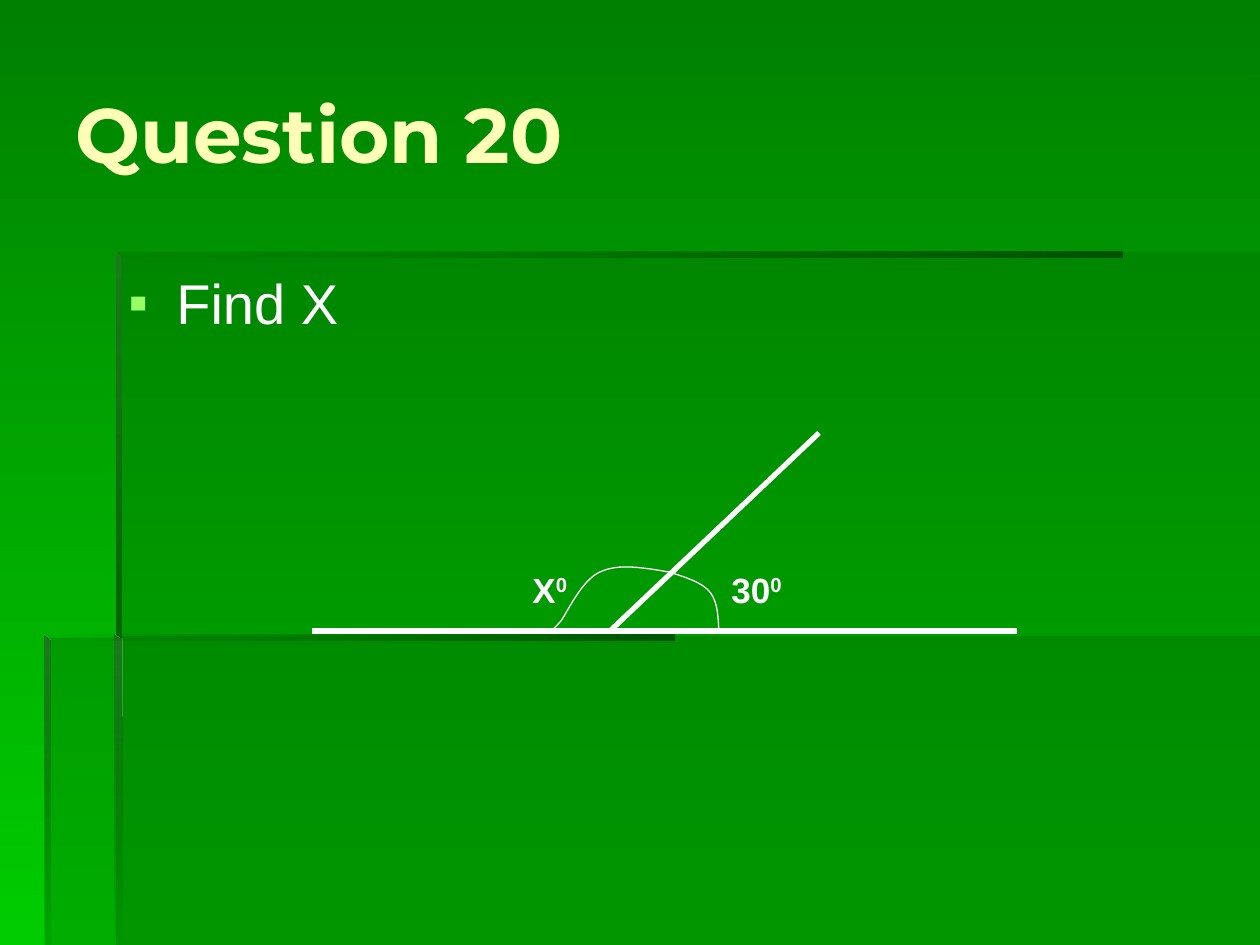
from lxml import etree
from pptx import Presentation
from pptx.dml.color import RGBColor
from pptx.enum.shapes import MSO_CONNECTOR
from pptx.enum.text import MSO_ANCHOR
from pptx.oxml.ns import qn
from pptx.util import Emu, Pt

STRAIGHT = MSO_CONNECTOR.STRAIGHT
TOP, MIDDLE = MSO_ANCHOR.TOP, MSO_ANCHOR.MIDDLE
SCALE = 914400 / 126
WIDTH, HEIGHT = 1260, 945
WHITE = "FFFFFF"
CURVE_STEPS = 16
RIGHT_TO_LEFT, DOWN = 180, 270

PANELS = [
    [(116, 636), (116, 945), (1260, 945), (1260, 636)],
    [(118, 638), (45, 638), (45, 945), (1260, 945), (1260, 252), (118, 252)],
]
BEVELS = [
    ([(116, 252), (116, 258), (1123, 258), (1123, 252)], "005300", RIGHT_TO_LEFT, 0),
    ([(116, 252), (116, 643), (122, 643), (121, 257)], "1E781E", DOWN, 100),
    ([(115, 945), (122, 945), (121, 640), (115, 635)], "1E781E", DOWN, 0),
    ([(44, 635), (44, 641), (674, 641), (674, 635)], "005300", RIGHT_TO_LEFT, 0),
    ([(44, 635), (44, 945), (50, 945), (50, 641)], "1E781E", DOWN, 10),
]
ANGLE_30_ARC = [(669, 572), (685, 577), (701, 582), (709, 591),
                (718, 601), (718, 616), (719, 631)]
ANGLE_X_ARC = [(551, 631), (551, 631), (552, 631), (561, 621),
               (568, 611), (582, 580), (600, 572),
               (619, 563), (644, 568), (669, 572)]


def px(value):
    return Emu(round(value * SCALE))


def rgb(value):
    return RGBColor.from_string(value)


def set_gradient(fill, start, end, angle):
    fill.gradient()
    fill.gradient_angle = angle
    for stop, color, position in zip(fill.gradient_stops, (start, end), (0, 1)):
        stop.color.rgb = rgb(color)
        stop.position = position


def set_last_opacity(shape, percent):
    color = list(shape._element.spPr.iter(qn("a:srgbClr")))[-1]
    etree.SubElement(color, qn("a:alpha"), val=str(percent * 1000))


def add_outline(slide, points, close=True):
    corners = [(px(x), px(y)) for x, y in points]
    builder = slide.shapes.build_freeform(*corners[0], scale=1.0)
    builder.add_line_segments(corners[1:], close=close)
    shape = builder.convert_to_shape()
    shape.shadow.inherit = False
    return shape


def add_panel(slide, points):
    panel = add_outline(slide, points)
    panel.fill.solid()
    panel.fill.fore_color.rgb = rgb("006600")
    set_last_opacity(panel, 30)
    panel.line.fill.background()


def add_bevel(slide, points, start, angle, end_opacity):
    bevel = add_outline(slide, points)
    set_gradient(bevel.fill, start, "006600", angle)
    set_last_opacity(bevel, end_opacity)
    bevel.line.fill.background()


def bezier(controls, t):
    weights = ((1 - t) ** 3, 3 * t * (1 - t) ** 2, 3 * t ** 2 * (1 - t), t ** 3)
    return tuple(sum(w * c for w, c in zip(weights, axis)) for axis in zip(*controls))


def add_arc(slide, controls):
    points = [controls[0]]
    for first in range(0, len(controls) - 1, 3):
        segment = controls[first:first + 4]
        points += [bezier(segment, step / CURVE_STEPS) for step in range(1, CURVE_STEPS + 1)]
    arc = add_outline(slide, points, close=False)
    arc.fill.background()
    arc.line.color.rgb = rgb(WHITE)
    arc.line.width = Pt(0.75)


def add_ray(slide, start, end):
    ray = slide.shapes.add_connector(STRAIGHT, *map(px, start + end))
    ray.line.color.rgb = rgb(WHITE)
    ray.line.width = Pt(3)
    etree.SubElement(ray._element.spPr, qn("a:effectLst"))


def add_text(slide, box, parts, size, font="Arial", color=WHITE, bold=False,
             anchor=TOP, space_before=0):
    frame = slide.shapes.add_textbox(*map(px, box)).text_frame
    frame.word_wrap = True
    frame.vertical_anchor = anchor
    paragraph = frame.paragraphs[0]
    paragraph.space_before = Pt(space_before)
    for part in parts:
        run = paragraph.add_run()
        run.text = part
        run.font.name = font
        run.font.size = Pt(size)
        run.font.bold = bold
        run.font.color.rgb = rgb(color)
    return paragraph


def add_bullet(paragraph, symbol, color, indent):
    properties = paragraph._p.get_or_add_pPr()
    properties.set("marL", str(px(indent)))
    properties.set("indent", str(-px(indent)))
    bullet_color = etree.SubElement(properties, qn("a:buClr"))
    etree.SubElement(bullet_color, qn("a:srgbClr"), val=color)
    etree.SubElement(properties, qn("a:buFont"), typeface="Arial")
    etree.SubElement(properties, qn("a:buChar"), char=symbol)


def add_angle_label(slide, left, value):
    paragraph = add_text(slide, (left, 562, 79, 55), [value, "0"], 20,
                         bold=True, space_before=12.5)
    paragraph.runs[1].font._element.set("baseline", "30000")


def main():
    prs = Presentation()
    prs.slide_width, prs.slide_height = px(WIDTH), px(HEIGHT)
    slide = prs.slides.add_slide(prs.slide_layouts[6])
    set_gradient(slide.background.fill, "008000", "00CC00", DOWN)

    for points in PANELS:
        add_panel(slide, points)
    for bevel in BEVELS:
        add_bevel(slide, *bevel)

    add_text(slide, (63, 34, 1155, 198), ["Question 20"], 44, "Montserrat",
             "FFFFB7", bold=True, anchor=MIDDLE)
    task = add_text(slide, (116, 262, 1104, 577), ["Find X"], 32, space_before=8)
    add_bullet(task, "▪", "99FF66", 48)

    add_ray(slide, (312, 631), (1017, 631))
    add_ray(slide, (610, 631), (819, 433))
    add_arc(slide, ANGLE_30_ARC)
    add_angle_label(slide, 520, "X")
    add_angle_label(slide, 719, "30")
    add_arc(slide, ANGLE_X_ARC)

    prs.save("out.pptx")


if __name__ == "__main__":
    main()
